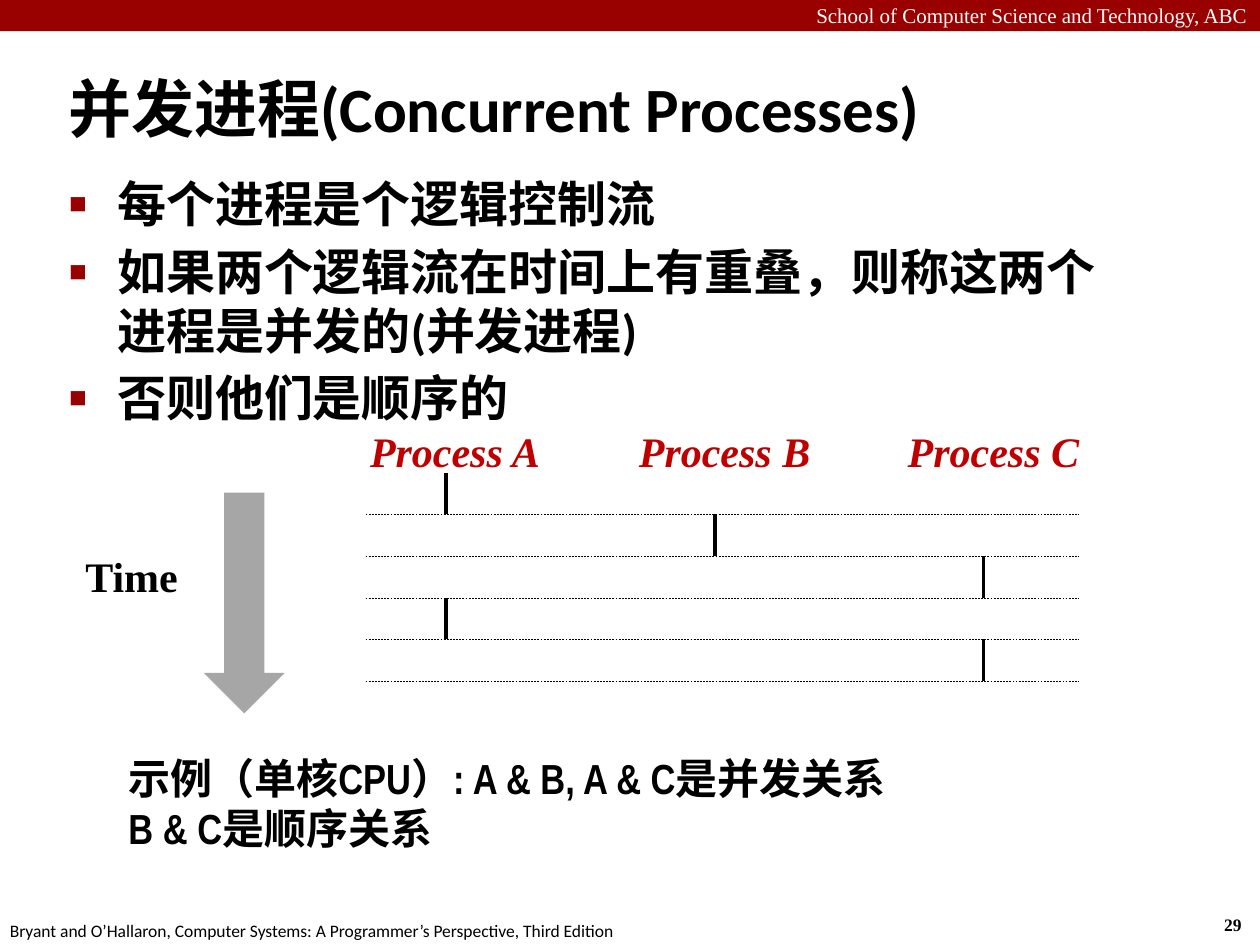
import pptx
import pptx.util
import pptx.dml.color
import pptx.enum.dml
import pptx.enum.shapes
import pptx.enum.text
import pptx.oxml.ns
import lxml.etree

Cm = pptx.util.Cm
Pt = pptx.util.Pt
RGBColor = pptx.dml.color.RGBColor
Align = pptx.enum.text.PP_ALIGN
Anchor = pptx.enum.text.MSO_ANCHOR
Shape = pptx.enum.shapes.MSO_SHAPE
qn = pptx.oxml.ns.qn

BLACK = RGBColor(0, 0, 0)
WHITE = RGBColor(255, 255, 255)
BANNER_RED = RGBColor(0x99, 0, 0)
LABEL_RED = RGBColor(0xC0, 0, 0)
ARROW_GREY = RGBColor(0xA6, 0xA6, 0xA6)
SERIF = "Times New Roman"
SANS = "Calibri"
NARROW = "Arial Narrow"


class PageBuilder:
    def __init__(self, page):
        self.page = page
        self.shapes = page.shapes

    def start_group(self):
        self.shapes = self.page.shapes.add_group_shape().shapes

    def end_group(self):
        self.shapes = self.page.shapes

    def fill_text(self, box, text, size, font, color=BLACK, bold=True, italic=False,
                  align=Align.LEFT, wrap=True):
        frame = box.text_frame
        frame.text = text
        frame.word_wrap = wrap
        frame.auto_size = pptx.enum.text.MSO_AUTO_SIZE.NONE
        for para in frame.paragraphs:
            para.alignment = align
            for span in para.runs:
                span.font.size = Pt(size)
                span.font.name = font
                span.font.bold = bold
                span.font.italic = italic
                span.font.color.rgb = color

    def text(self, left, top, width, height, text, size, font, **style):
        box = self.shapes.add_textbox(Cm(left), Cm(top), Cm(width), Cm(height))
        self.fill_text(box, text, size, font, **style)

    def placeholder(self, index, left, top, width, height, text, size):
        box = self.page.placeholders[index]
        box.left, box.top, box.width, box.height = Cm(left), Cm(top), Cm(width), Cm(height)
        self.fill_text(box, text, size, SANS)
        return box.text_frame

    def indent(self, para, length):
        properties = para._p.get_or_add_pPr()
        properties.set("marL", str(Cm(length)))
        properties.set("indent", str(-Cm(length)))
        return properties

    def title(self, *place, text, size):
        frame = self.placeholder(0, *place, text, size)
        frame.vertical_anchor = Anchor.MIDDLE
        self.indent(frame.paragraphs[0], 0.33)

    def bullets(self, *place, lines, size):
        frame = self.placeholder(1, *place, "\n".join(lines), size)
        frame.vertical_anchor = Anchor.TOP
        for para in frame.paragraphs:
            para.space_before = Pt(5)
            properties = self.indent(para, 0.97)
            tint = lxml.etree.SubElement(properties, qn("a:buClr"))
            lxml.etree.SubElement(tint, qn("a:srgbClr"), val=str(BANNER_RED))
            lxml.etree.SubElement(properties, qn("a:buSzPct"), val="60000")
            lxml.etree.SubElement(properties, qn("a:buFont"), typeface="Arial")
            lxml.etree.SubElement(properties, qn("a:buChar"), char="■")

    def shape(self, kind, left, top, width, height, color):
        shape = self.shapes.add_shape(kind, Cm(left), Cm(top), Cm(width), Cm(height))
        shape.shadow.inherit = False
        shape.fill.solid()
        shape.fill.fore_color.rgb = color
        shape.line.fill.background()

    def line(self, x1, y1, x2, y2, width, dashed=False):
        line = self.shapes.add_connector(
            pptx.enum.shapes.MSO_CONNECTOR.STRAIGHT, Cm(x1), Cm(y1), Cm(x2), Cm(y2))
        line.line.color.rgb = BLACK
        line.line.width = Pt(width)
        if dashed:
            line.line.dash_style = pptx.enum.dml.MSO_LINE.DASH
        lxml.etree.SubElement(line._element.spPr, qn("a:effectLst"))


deck = pptx.Presentation()
deck.slide_width, deck.slide_height = Cm(25.4), Cm(19.05)
builder = PageBuilder(deck.slides.add_slide(deck.slide_layouts[1]))

builder.shape(Shape.RECTANGLE, 0, 0, 25.4, 0.63, BANNER_RED)
builder.text(0, -0.08, 25.4, 0.77, "School of Computer Science and Technology, ABC",
             12, SERIF, color=WHITE, bold=False, align=Align.RIGHT)
builder.text(-0.05, 18.42, 12.9, 0.68,
             "Bryant and O’Hallaron, Computer Systems: A Programmer’s Perspective, Third Edition",
             10, SANS, bold=False, wrap=False)
builder.text(24.43, 18.31, 0.94, 0.68, "29", 10, SERIF, wrap=False)

builder.title(1.12, 1.37, 19.4, 1.6, text="并发进程(Concurrent Processes)", size=36)
builder.bullets(1.14, 3.38, 21.95, 5.82, size=28, lines=[
    "每个进程是个逻辑控制流",
    "如果两个逻辑流在时间上有重叠，则称这两个进程是并发的(并发进程)",
    "否则他们是顺序的",
])

COLUMN_LEFT, COLUMN_STEP = 7.21, 5.42
ROW_TOP, ROW_STEP = 9.53, 0.84
SCHEDULE = "ABCAC"

builder.start_group()
for column, name in enumerate("ABC"):
    builder.text(COLUMN_LEFT + column * COLUMN_STEP, 8.46, 3.55, 0.94, f"Process {name}",
                 24, SERIF, color=LABEL_RED, italic=True, wrap=False)
for row, name in enumerate(SCHEDULE):
    x = COLUMN_LEFT + 1.78 + "ABC".index(name) * COLUMN_STEP
    top = ROW_TOP + row * ROW_STEP
    bottom = top + ROW_STEP
    builder.line(x, top, x, bottom, 2)
    builder.line(7.37, bottom, 21.74, bottom, 0.25, dashed=True)
builder.text(1.47, 10.97, 2.92, 1.27, "Time", 24, SERIF)
builder.shape(Shape.DOWN_ARROW, 4.11, 9.93, 1.63, 4.45, ARROW_GREY)
builder.end_group()

builder.text(2.34, 15.04, 21.16, 2.31,
             "示例（单核CPU）: A & B, A & C是并发关系\nB & C是顺序关系", 24, NARROW)

deck.save("out.pptx")
